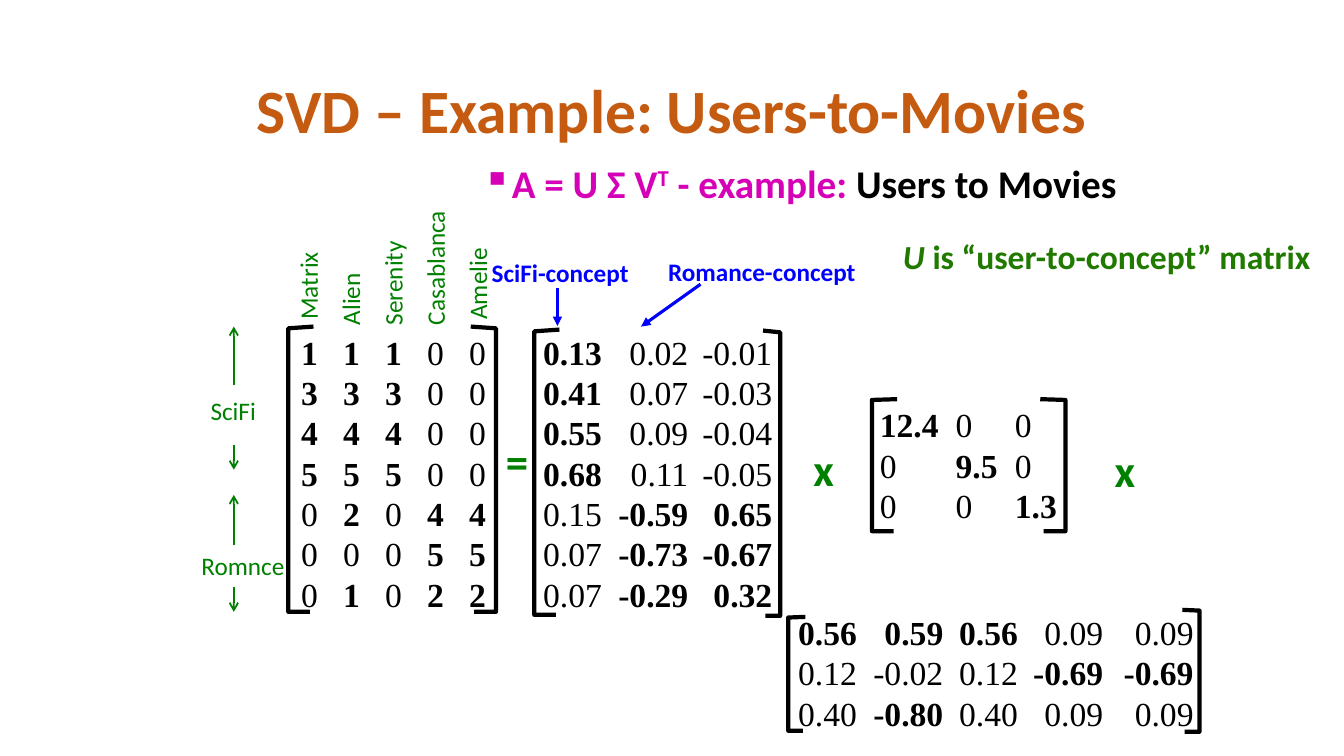
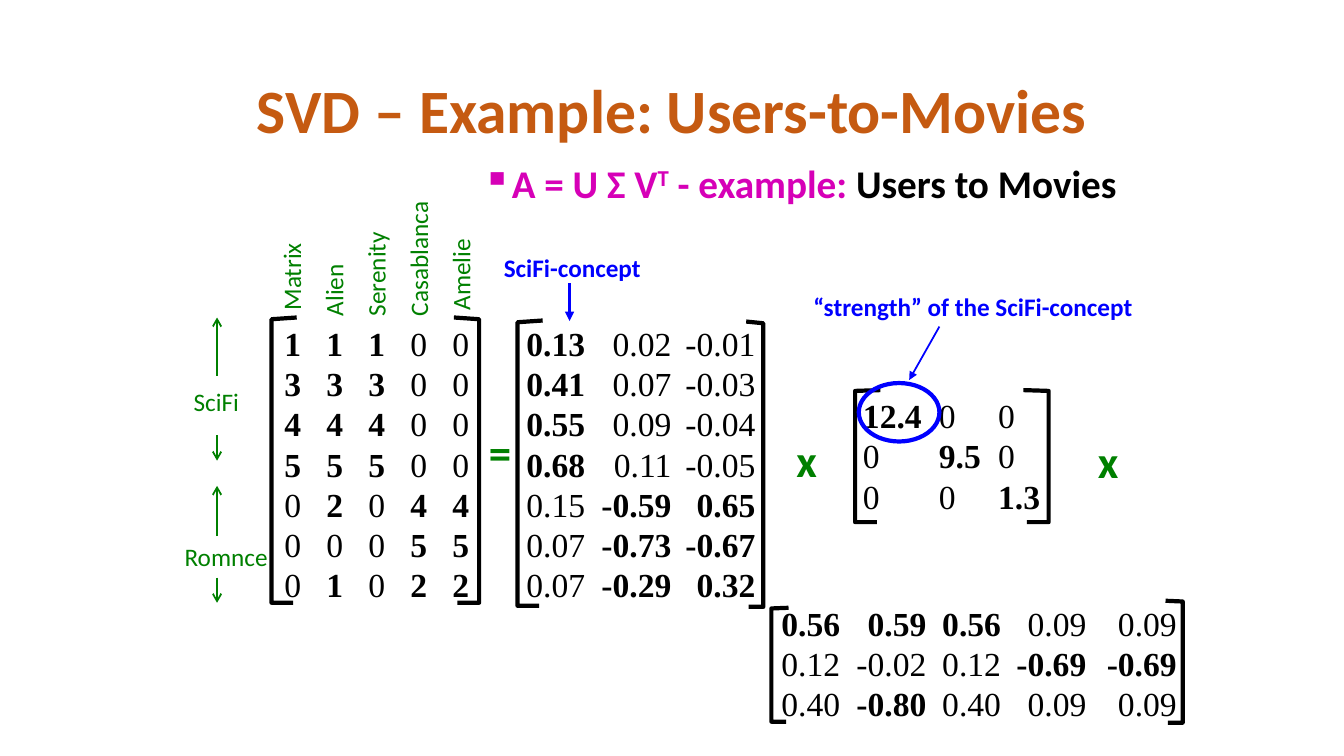
from pptx import Presentation
from pptx import util as u
from pptx.dml.color import RGBColor
from pptx.enum import shapes, text
from pptx.oxml.ns import qn
from lxml import etree

# Colours and fonts
ORANGE = RGBColor(0xC5, 0x5A, 0x11)
MAGENTA = RGBColor(0xD6, 0x00, 0xB7)
GREEN = RGBColor(0x00, 0x80, 0x00)
NOTE_GREEN = RGBColor(0x20, 0x7A, 0x00)
BLUE = RGBColor(0x00, 0x00, 0xFF)
BLACK = RGBColor(0x00, 0x00, 0x00)
SANS, SERIF = "Calibri", "Times New Roman"

# Grid: 40 columns by 30 rows
SLIDE_W, SLIDE_H = u.Inches(40 / 3), u.Inches(7.5)
LABEL_H = 1.6

# Matrix entries; an asterisk marks a bold one
RATINGS = ["*1 *1 *1 0 0", "*3 *3 *3 0 0", "*4 *4 *4 0 0", "*5 *5 *5 0 0",
           "0 *2 0 *4 *4", "0 0 0 *5 *5", "0 *1 0 *2 *2"]
USER_CONCEPTS = ["*0.13 0.02 -0.01", "*0.41 0.07 -0.03", "*0.55 0.09 -0.04",
                 "*0.68 0.11 -0.05", "0.15 *-0.59 *0.65",
                 "0.07 *-0.73 *-0.67", "0.07 *-0.29 *0.32"]
STRENGTHS = ["*12.4 0 0", "0 *9.5 0", "0 0 *1.3"]
MOVIE_CONCEPTS = ["*0.56 *0.59 *0.56 0.09 0.09", "0.12 -0.02 0.12 *-0.69 *-0.69",
                  "0.40 *-0.80 0.40 0.09 0.09"]
MOVIES = [" Matrix", "Alien", "Serenity", "Casablanca", " Amelie"]


def cols(n):
    return u.Emu(round(n * SLIDE_W / 40))


def rows(n):
    return u.Emu(round(n * SLIDE_H / 30))


def area(left, top, width, height):
    return cols(left), rows(top), cols(width), rows(height)


def sub(parent, tag, **attributes):
    return etree.SubElement(parent, qn(tag), attributes)


def add_text(parent, box, paragraphs, *, size, color, font=SANS, bold=False,
             align=None, anchor=text.MSO_ANCHOR.TOP, wrap=False, grow=True,
             spacing=None, before=None, bullet=None, tabs=(), tab_align="l",
             rotation=0):
    """Each paragraph is a string or a list of (string, overrides) runs."""
    label = parent.add_textbox(*area(*box))
    label.rotation = rotation
    frame = label.text_frame
    frame.word_wrap = wrap
    frame.vertical_anchor = anchor
    frame.auto_size = (text.MSO_AUTO_SIZE.SHAPE_TO_FIT_TEXT if grow
                       else text.MSO_AUTO_SIZE.NONE)
    for index, content in enumerate(paragraphs):
        para = frame.paragraphs[0] if index == 0 else frame.add_paragraph()
        para.alignment = align
        para.line_spacing = spacing
        para.space_before = before
        props = para._p.get_or_add_pPr()
        if bullet:
            props.set("marL", str(u.Inches(0.25)))
            props.set("indent", str(-u.Inches(0.25)))
            sub(props, "a:buChar", char=bullet)
        if tabs:
            stops = sub(props, "a:tabLst")
            for stop in tabs:
                sub(stops, "a:tab", pos=str(cols(stop)), algn=tab_align)
        for words, own in [(content, {})] if isinstance(content, str) else content:
            run = para.add_run()
            run.text = words
            run.font.name, run.font.size = font, u.Pt(size)
            run.font.bold = own.get("bold", bold)
            run.font.italic = own.get("italic", False)
            run.font.color.rgb = own.get("color", color)
            if own.get("superscript"):
                run._r.get_or_add_rPr().set("baseline", "30000")


def add_label(parent, left, top, width, words, color=BLUE, bold=True):
    add_text(parent, (left, top, width, LABEL_H), [words], size=18, color=color,
             bold=bold, anchor=text.MSO_ANCHOR.MIDDLE)


def add_operator(parent, left, top, sign):
    add_text(parent, (left, top, 1.32, 2.56), [sign], size=32, color=GREEN,
             bold=True, anchor=text.MSO_ANCHOR.MIDDLE)


def add_arrow(parent, start, end, color=BLUE, weight=2.25, head="triangle"):
    arrow = parent.add_connector(shapes.MSO_CONNECTOR.STRAIGHT,
                                 cols(start[0]), rows(start[1]),
                                 cols(end[0]), rows(end[1]))
    arrow.line.color.rgb = color
    arrow.line.width = u.Pt(weight)
    props = arrow._element.spPr
    sub(props.find(qn("a:ln")), "a:tailEnd", type=head)
    sub(props, "a:effectLst")


def outline(shape, color):
    shape.fill.background()
    shape.line.color.rgb = color
    shape.line.width = u.Pt(3)
    shape.shadow.inherit = False


def add_bracket(parent, edge, top, height, tip):
    """A positive tip opens to the right, a negative one to the left."""
    slant = height / 160
    pen = parent.build_freeform(cols(edge + tip), rows(top))
    pen.add_line_segments([(cols(edge), rows(top + slant)),
                           (cols(edge), rows(top + height)),
                           (cols(edge + 0.86 * tip), rows(top + height))],
                          close=False)
    outline(pen.convert_to_shape(), BLACK)


def add_matrix(parent, box, entries, tabs, tab_align="l"):
    lines = []
    for entry in entries:
        cells = entry.split()
        lines.append([(("\t" if i else "") + cell.lstrip("*"),
                       {"bold": cell.startswith("*")})
                      for i, cell in enumerate(cells)])
    add_text(parent, box, lines, size=24, color=BLACK, font=SERIF, wrap=True,
             tabs=tabs, tab_align=tab_align)


def add_heading(slide):
    add_text(slide.shapes, (2.76, 1.6, 34.5, 5.8),
             ["SVD – Example: Users-to-Movies"], size=44, color=ORANGE, bold=True,
             align=text.PP_ALIGN.CENTER, anchor=text.MSO_ANCHOR.MIDDLE,
             wrap=True, grow=False, spacing=0.9)
    add_text(slide.shapes, (14.07, 6.32, 21.9, 2.28),
             [[("A = U Σ V", {}), ("T", {"superscript": True}),
               (" - example: ", {}), ("Users to Movies", {"color": BLACK})]],
             size=28, color=MAGENTA, bold=True, wrap=True, grow=False,
             spacing=0.9, before=u.Pt(10), bullet="▪")


def add_equation(slide, shift=(0, 0)):
    group = slide.shapes.add_group_shape()
    parts = group.shapes

    # Brackets: edge, top, height, tip
    for bracket in [(8.58, 12.96, 11.32, 0.75), (14.76, 12.96, 11.32, -0.75),
                    (15.9, 13.08, 11.32, 0.75), (23.22, 13.12, 11.32, -0.51),
                    (25.95, 15.84, 5.24, 0.75), (31.71, 15.84, 5.24, -0.75),
                    (23.46, 24.48, 4.52, 0.51), (35.7, 24.2, 4.84, -0.51)]:
        add_bracket(parts, *bracket)

    # Operators
    for left, top, sign in [(14.76, 17, "="), (23.91, 17.32, "x"),
                            (32.88, 17.36, "x")]:
        add_operator(parts, left, top, sign)

    # User groups beside the ratings
    for start, end in [(15.28, 12.96), (17.64, 18.64),
                       (21.64, 19.64), (23.28, 24.28)]:
        add_arrow(parts, (6.96, start), (6.96, end), GREEN, 1.25, "arrow")
    add_label(parts, 5.97, 15.48, 2.07, "SciFi", GREEN, False)
    add_label(parts, 5.7, 21.64, 3.18, "Romnce", GREEN, False)

    # Movie names above the ratings
    add_text(parts, (9.45, 6.08, 4.17, 8.88), MOVIES, size=18, color=GREEN,
             spacing=1.4, rotation=270)

    # Matrices
    add_matrix(parts, (8.67, 12.96, 6.51, 11.72), RATINGS,
               [1.25 * i for i in range(1, 5)])
    add_matrix(parts, (15.87, 12.96, 7.8, 11.72), USER_CONCEPTS,
               [4.32, 6.82], "r")
    add_matrix(parts, (25.89, 15.84, 6.51, 5.24), STRENGTHS, [2.26, 4.02])
    add_matrix(parts, (23.46, 24.08, 12.51, 5.24), MOVIE_CONCEPTS,
               [4.32, 6.54, 9.08, 11.77], "r")

    group.left += cols(shift[0])
    group.top += rows(shift[1])


def add_scifi_concept(slide, left, top):
    add_label(slide.shapes, left, top, 5.01, "SciFi-concept")
    add_arrow(slide.shapes, (left + 2.25, top + 1.44), (left + 2.25, top + 2.94))


def add_user_slide(deck):
    slide = deck.slides.add_slide(deck.slide_layouts[6])
    add_heading(slide)
    add_label(slide.shapes, 19.59, 9.96, 6.51, "Romance-concept")
    add_arrow(slide.shapes, (20.85, 11.28), (19.08, 12.96))
    add_scifi_concept(slide, 14.34, 10)
    add_equation(slide)
    add_text(slide.shapes, (26.58, 9.16, 12.87, 2),
             [[("U ", {"italic": True}), ("is “user-to-concept” matrix", {})]],
             size=24, color=NOTE_GREEN, bold=True)


def add_strength_slide(deck):
    slide = deck.slides.add_slide(deck.slide_layouts[6])
    add_heading(slide)
    add_equation(slide, shift=(-0.5, -0.36))
    add_scifi_concept(slide, 14.7, 9.8)
    add_label(slide.shapes, 23.91, 11.36, 10.74, "“strength” of the SciFi-concept")
    ring = slide.shapes.add_shape(shapes.MSO_SHAPE.OVAL, *area(25.56, 15.2, 2.4, 2.32))
    outline(ring, BLUE)
    add_arrow(slide.shapes, (27.96, 12.96), (27.06, 15.08), weight=1.25)


def main():
    deck = Presentation()
    deck.slide_width, deck.slide_height = SLIDE_W, SLIDE_H
    add_user_slide(deck)
    add_strength_slide(deck)
    deck.save("out.pptx")


if __name__ == "__main__":
    main()
